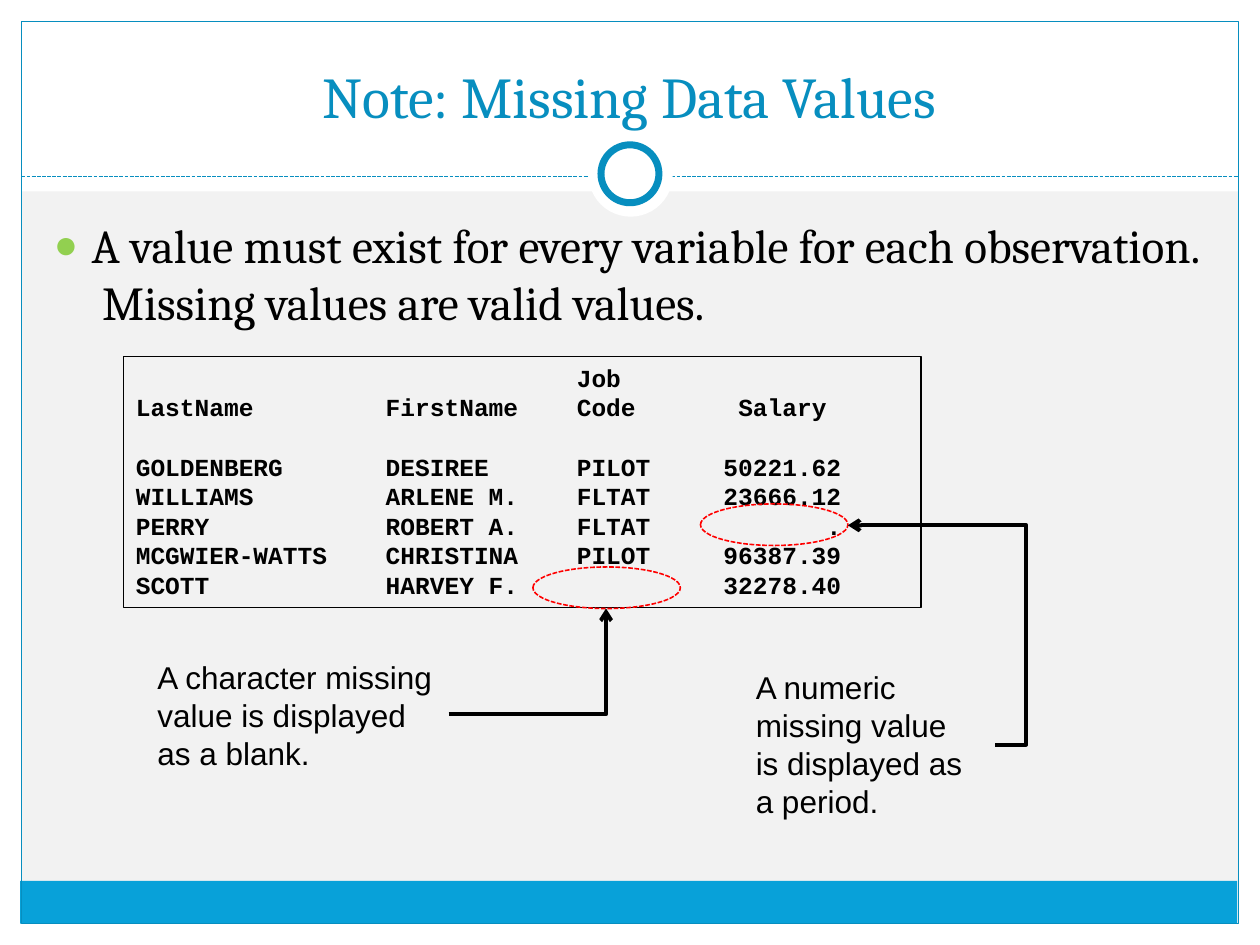
from pptx import Presentation
from pptx.dml.color import RGBColor
from pptx.enum.dml import MSO_LINE
from pptx.enum.shapes import MSO_CONNECTOR, MSO_SHAPE
from pptx.enum.text import MSO_ANCHOR, PP_ALIGN
from pptx.oxml.ns import qn
from pptx.util import Inches, Pt
from lxml import etree

RECT, OVAL = MSO_SHAPE.RECTANGLE, MSO_SHAPE.OVAL
STRAIGHT, ELBOW = MSO_CONNECTOR.STRAIGHT, MSO_CONNECTOR.ELBOW
LEFT, CENTER = PP_ALIGN.LEFT, PP_ALIGN.CENTER
TOP, BOTTOM = MSO_ANCHOR.TOP, MSO_ANCHOR.BOTTOM
DASH = MSO_LINE.SQUARE_DOT
WHITE, BLACK, RED = "FFFFFF", "000000", "FF0000"
GRAY, BLUE, SKY, GREEN = "F2F2F2", "078EBF", "08A1D9", "92D050"


def color(value):
    return RGBColor.from_string(value)


def child(parent, tag, **attrs):
    return etree.SubElement(parent, qn(tag), {k: str(v) for k, v in attrs.items()})


class Deck:
    """Holds the style and the current slide; lengths are percent of the slide."""

    title = {"name": "Cambria", "size": Pt(33)}
    body = {"name": "Cambria", "size": Pt(27)}
    note = {"name": "Arial", "size": Pt(18)}
    code = {"name": "Courier New", "size": Pt(14), "bold": True}

    def __init__(self, width, height, background):
        self.prs = Presentation()
        self.prs.slide_width, self.prs.slide_height = Inches(width), Inches(height)
        self.s = self.prs.slides.add_slide(self.prs.slide_layouts[6])
        fill = self.s.background.fill
        fill.solid()
        fill.fore_color.rgb = color(background)

    def scale(self, *shares):
        sides = self.prs.slide_width, self.prs.slide_height
        return [round(share * sides[i % 2] / 100) for i, share in enumerate(shares)]

    def stroke(self, line, hue, width, dash=None):
        line.color.rgb = color(hue)
        line.width = Pt(width)
        if dash:
            line.dash_style = dash

    def shape(self, kind, at, fill=None, line=None):
        sp = self.s.shapes.add_shape(kind, *self.scale(*at))
        sp.shadow.inherit = False
        if fill:
            sp.fill.solid()
            sp.fill.fore_color.rgb = color(fill)
        else:
            sp.fill.background()
        if line:
            self.stroke(sp.line, *line)
        else:
            sp.line.fill.background()
        return sp

    def textbox(self, at):
        return self.s.shapes.add_textbox(*self.scale(*at))

    def put_text(self, sp, lines, style, hue=BLACK, anchor=TOP, **para):
        tf = sp.text_frame
        tf.word_wrap = True
        tf.vertical_anchor = anchor
        for i, text in enumerate(lines):
            p = tf.paragraphs[0] if i == 0 else tf.add_paragraph()
            for key, value in {"alignment": LEFT, **para}.items():
                setattr(p, key, value)
            r = p.add_run()
            r.text = text
            for key, value in style.items():
                setattr(r.font, key, value)
            r.font.color.rgb = color(hue)
        return tf

    def bullet(self, p, hue, indent):
        pPr = p._p.get_or_add_pPr()
        pPr.set("marL", str(Inches(indent)))
        pPr.set("indent", str(-Inches(indent)))
        child(child(pPr, "a:buClr"), "a:srgbClr", val=hue)
        child(pPr, "a:buSzPct", val=85000)
        child(pPr, "a:buFont", typeface="Arial")
        child(pPr, "a:buChar", char="●")

    def tabs(self, p, stops):
        tab_list = child(p._p.get_or_add_pPr(), "a:tabLst")
        for position, align in stops:
            child(tab_list, "a:tab", pos=Inches(position), algn=align)

    def connector(self, kind, ends, line, arrow=False, preset=None, bend=None):
        c = self.s.shapes.add_connector(kind, *self.scale(*ends))
        self.stroke(c.line, *line)
        spPr = c._element.spPr
        child(spPr, "a:effectLst")
        if arrow:
            child(spPr.find(qn("a:ln")), "a:tailEnd", type="arrow")
        geom = spPr.find(qn("a:prstGeom"))
        if preset:
            geom.set("prst", preset)
        if bend is not None:
            guides = geom.find(qn("a:avLst"))
            child(guides, "a:gd", name="adj1", fmla=f"val {round(bend * 100000)}")


d = Deck(10, 7.5, GRAY)

for at in [(0, 97.73, 100, 2.27), (0, 0, 100, 20.27),
           (0, 0, 1.7, 100), (98.3, 0, 1.7, 100)]:
    d.shape(RECT, at, WHITE)
d.shape(RECT, (1.6, 93.2, 96.6, 4.53), SKY)
d.shape(RECT, (1.7, 2.27, 96.6, 95.47), line=(BLUE, 0.75))
d.connector(STRAIGHT, (1.7, 18.67, 98.3, 18.67), (BLUE, 0.75, DASH))
d.shape(OVAL, (46.7, 14, 6.7, 8.93), WHITE)
d.shape(OVAL, (47.7, 15.33, 4.6, 6.13), WHITE, (BLUE, 4))

d.put_text(d.textbox((3.3, 3.33, 93.3, 11.07)), ["Note: Missing Data Values"],
           d.title, BLUE, BOTTOM, alignment=CENTER)
tf = d.put_text(d.textbox((3.3, 22.27, 93, 66.67)),
                ["A value must exist for every variable for each observation."
                 "  Missing values are valid values."],
                d.body, space_before=Pt(5.4))
d.bullet(tf.paragraphs[0], GREEN, 0.3)

notes = [
    ((11.5, 68.93, 24.2, 13.47), ["A character missing", "value is displayed as a blank."]),
    ((59, 70, 20, 17.47), ["A numeric", "missing value", "is displayed as", "a period."]),
]
for at, lines in notes:
    d.put_text(d.textbox(at), lines, d.note, line_spacing=Pt(21.7))

headers = [("", "", "Job"), ("LastName", "FirstName", "Code", "Salary")]
records = [
    ("GOLDENBERG", "DESIREE", "PILOT", "50221.62"),
    ("WILLIAMS", "ARLENE M.", "FLTAT", "23666.12"),
    ("PERRY", "ROBERT A.", "FLTAT", "."),
    ("MCGWIER-WATTS", "CHRISTINA", "PILOT", "96387.39"),
    ("SCOTT", "HARVEY F.", "", "32278.40"),
]
pitch = Pt(16.9)
char_width = 0.6 * 14 / 72
listing = d.shape(RECT, (9.8, 37.73, 63.3, 26.53), line=(BLACK, 0.75))
tf = d.put_text(listing, ["\t".join(row) for row in headers + records], d.code,
                line_spacing=pitch)
tf.paragraphs[len(headers)].space_before = pitch
for i, p in enumerate(tf.paragraphs):
    salary_end = 47 if i < len(headers) else 48
    d.tabs(p, [(17 * char_width, "l"), (30 * char_width, "l"),
               (salary_end * char_width, "r")])

for left, top in [(42.3, 60), (55.6, 53.33)]:
    d.shape(OVAL, (left, top, 11.7, 4.4), line=(RED, 0.9, DASH))
d.connector(ELBOW, (35.6, 75.6, 48.1, 64.4), (BLACK, 2.25), True, "bentConnector2")
d.connector(ELBOW, (79, 78.8, 67.3, 55.6), (BLACK, 2.25), True, bend=-0.21)

d.prs.save("out.pptx")
